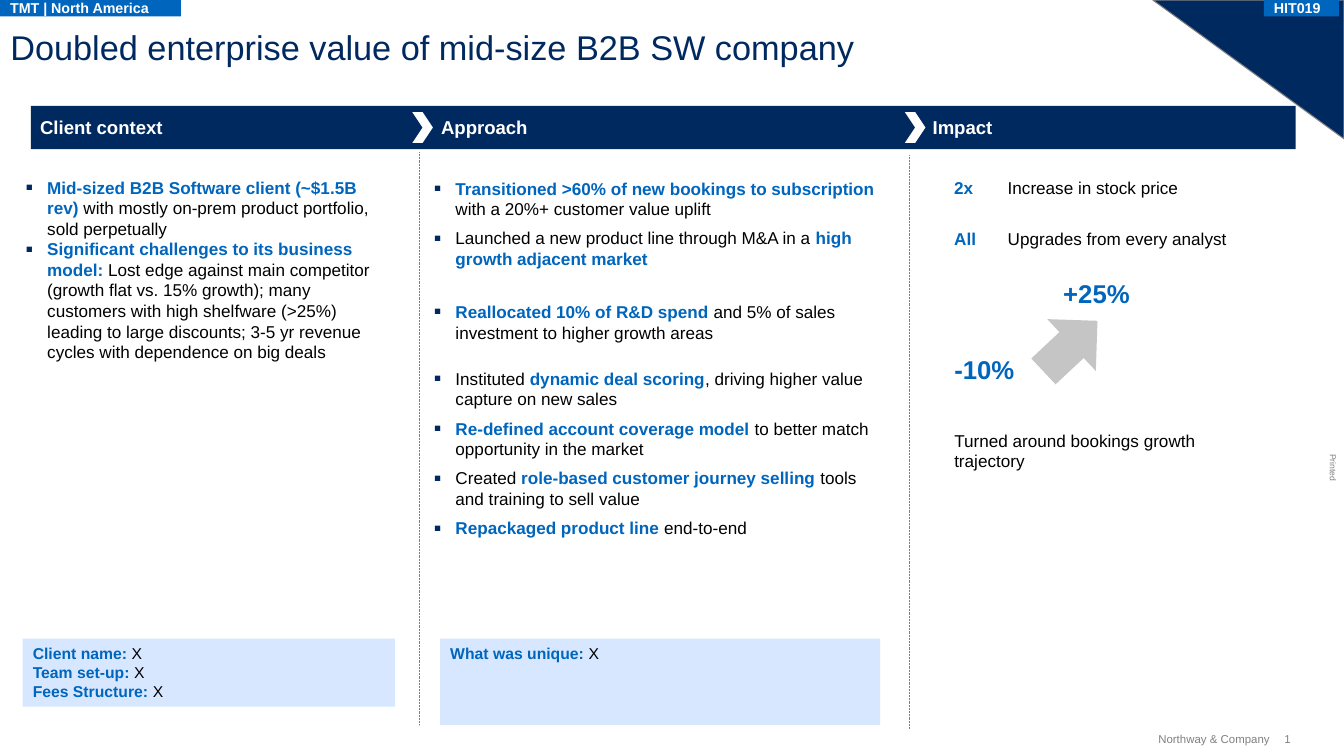
from lxml import etree
from pptx import Presentation
from pptx import util as u
from pptx.dml.color import RGBColor
from pptx.enum import dml, shapes, text
from pptx.oxml.ns import qn

COLORS = {"navy": "002960", "blue": "0065BD", "pale": "D6E7FF", "grey": "808080",
          "arrow": "C5C5C5", "white": "FFFFFF", "black": "000000"}
FONT = "Arial"
SHAPE = shapes.MSO_SHAPE
ANCHOR = text.MSO_ANCHOR
BULLET_INDENT = 0.21
HEADER_LEFT = 0.3

CONTEXT = [
    "*Mid-sized B2B Software client (~$1.5B rev) *with mostly on-prem product portfolio, "
    "sold perpetually",
    "*Significant challenges to its business model: *Lost edge against main competitor "
    "(growth flat vs. 15% growth); many customers with high shelfware (>25%) leading to "
    "large discounts; 3-5 yr revenue cycles with dependence on big deals",
]
# Offset from the top of the column, height, bullets
APPROACH = [
    (0, 0.91, [
        "*Transitioned >60% of new bookings to subscription *with a 20%+ customer value uplift",
        "Launched a new product line through M&A in a *high growth adjacent market*"]),
    (1.2, 0.4, [
        "*Reallocated 10% of R&D spend *and 5% of sales investment to higher growth areas"]),
    (1.85, 1.72, [
        "Instituted *dynamic deal scoring*, driving higher value capture on new sales",
        "*Re-defined account coverage model *to better match opportunity in the market",
        "Created *role-based customer journey selling *tools and training to sell value",
        "*Repackaged product line *end-to-end"]),
]
HEADINGS = [("Client context", 0.09), ("Approach", 3.99), ("Impact", 8.77)]
CHEVRONS = [3.71, 8.5]
RESULTS = [("2x", "Increase in stock price"), ("All", "Upgrades from every analyst")]


def rgb(name):
    return RGBColor.from_string(COLORS[name])


def inches(*lengths):
    return [u.Inches(length) for length in lengths]


def set_font(font, size, color, bold=False):
    font.name, font.size, font.bold = FONT, u.Pt(size), bold
    font.color.rgb = rgb(color)


def set_frame(frame, insets=(0, 0, 0, 0), anchor=ANCHOR.TOP):
    frame.word_wrap = True
    frame.auto_size = text.MSO_AUTO_SIZE.NONE
    frame.vertical_anchor = anchor
    (frame.margin_left, frame.margin_top,
     frame.margin_right, frame.margin_bottom) = inches(*insets)


def add_bullet(paragraph):
    props = paragraph._p.get_or_add_pPr()
    props.set("marL", str(u.Inches(BULLET_INDENT)))
    props.set("indent", str(-u.Inches(BULLET_INDENT)))
    color = etree.SubElement(props, qn("a:buClr"))
    etree.SubElement(color, qn("a:srgbClr"), val=COLORS["navy"])
    etree.SubElement(props, qn("a:buSzPct"), val="125000")
    etree.SubElement(props, qn("a:buFont"), typeface=FONT)
    etree.SubElement(props, qn("a:buChar"), char="▪")


def write_marked(frame, lines, size, bullets=False, gap=0):
    """Fill the frame; words between asterisks become bold blue."""
    for index, line in enumerate(lines):
        paragraph = frame.paragraphs[0] if index == 0 else frame.add_paragraph()
        paragraph.alignment = text.PP_ALIGN.LEFT
        if index and gap:
            paragraph.space_before = u.Pt(gap)
        if bullets:
            add_bullet(paragraph)
        for part, words in enumerate(line.split("*")):
            if words:
                run = paragraph.add_run()
                run.text = words
                marked = part % 2 == 1
                set_font(run.font, size, "blue" if marked else "black", marked)


def add_box(slide, left, top, width, height):
    return slide.shapes.add_textbox(*inches(left, top, width, height))


def add_label(slide, box, words, size, color, bold=False, anchor=ANCHOR.TOP,
              align=text.PP_ALIGN.LEFT):
    label = add_box(slide, *box)
    set_frame(label.text_frame, anchor=anchor)
    paragraph = label.text_frame.paragraphs[0]
    paragraph.text = words
    paragraph.alignment = align
    set_font(paragraph.runs[0].font, size, color, bold)
    return label


def add_filled(slide, kind, box, color):
    shape = slide.shapes.add_shape(kind, *inches(*box))
    shape.shadow.inherit = False
    shape.fill.solid()
    shape.fill.fore_color.rgb = rgb(color)
    shape.line.fill.background()
    return shape


def add_bullets(slide, box, lines, gap=0):
    bullets = add_box(slide, *box)
    set_frame(bullets.text_frame)
    write_marked(bullets.text_frame, lines, 12, bullets=True, gap=gap)


def add_title(slide, left, top, width, height, words):
    title = slide.shapes.title
    title.left, title.top, title.width, title.height = inches(left, top, width, height)
    title.text_frame.text = words
    set_frame(title.text_frame)
    title.text_frame.paragraphs[0].alignment = text.PP_ALIGN.LEFT
    set_font(title.text_frame.paragraphs[0].runs[0].font, 24, "navy")


def add_corner(slide, left, top, width, height):
    corner = add_filled(slide, SHAPE.RIGHT_TRIANGLE, (left, top, width, height), "navy")
    corner.rotation = 180
    corner.line.color.rgb = rgb("grey")
    corner.line.width = u.Pt(0.75)


def add_tag(slide, left, top, width, height, words):
    tag = add_filled(slide, SHAPE.RECTANGLE, (left, top, width, height), "blue")
    set_frame(tag.text_frame, (0.1, 0, 0.1, 0), ANCHOR.MIDDLE)
    paragraph = tag.text_frame.paragraphs[0]
    paragraph.text = words
    paragraph.alignment = text.PP_ALIGN.LEFT
    set_font(paragraph.runs[0].font, 10, "white", True)


def add_header(slide, left, top, width, height):
    add_filled(slide, SHAPE.RECTANGLE, (left, top, width, height), "navy")
    for words, offset in HEADINGS:
        add_label(slide, (left + offset, top, 3, height), words, 13, "white", True,
                  ANCHOR.MIDDLE)
    for offset in CHEVRONS:
        add_filled(slide, SHAPE.CHEVRON, (left + offset, top + 0.06, 0.2, 0.3), "white")


def add_divider(slide, left, top, height):
    divider = slide.shapes.add_connector(shapes.MSO_CONNECTOR.STRAIGHT,
                                         *inches(left, top, left, top + height))
    divider.line.color.rgb = rgb("grey")
    divider.line.width = u.Pt(0.5)
    divider.line.dash_style = dml.MSO_LINE.ROUND_DOT
    etree.SubElement(divider._element.spPr, qn("a:effectLst"))


def add_approach(slide, left, top, width):
    for offset, height, lines in APPROACH:
        add_bullets(slide, (left, top + offset, width, height), lines, gap=6)


def add_impact(slide, left, top, width):
    for row, (figure, result) in enumerate(RESULTS):
        y = top + 0.5 * row
        add_label(slide, (left, y, 0.5, 0.2), figure, 12, "blue", True)
        add_label(slide, (left + 0.52, y, 2.45, 0.2), result, 12, "black")
    # Growth swing
    add_label(slide, (left, top + 1.72, 0.75, 0.3), "-10%", 18, "blue", True)
    add_label(slide, (left + 1.06, top + 0.98, 1.5, 0.3), "+25%", 18, "blue", True)
    swing = add_filled(slide, SHAPE.RIGHT_ARROW,
                       (left + 0.77, top + 1.3, 0.72, 0.69), "arrow")
    swing.rotation = 316.9
    add_label(slide, (left, top + 2.46, width, 0.4),
              "Turned around bookings growth trajectory", 12, "black")


def add_note(slide, left, top, width, height, lines):
    note = add_filled(slide, SHAPE.RECTANGLE, (left, top, width, height), "pale")
    set_frame(note.text_frame, (0.1, 0.05, 0.1, 0.05))
    write_marked(note.text_frame, lines, 11)


def add_footer(slide, left, top, width, height):
    add_label(slide, (left, top, 1.11, height), "Northway & Company", 8, "grey",
              anchor=ANCHOR.MIDDLE, align=text.PP_ALIGN.RIGHT)
    add_label(slide, (left + width - 0.14, top, 0.14, height), "1", 8, "grey",
              anchor=ANCHOR.MIDDLE)


def main():
    deck = Presentation()
    deck.slide_width, deck.slide_height = inches(13.07, 7.35)
    slide = deck.slides.add_slide(deck.slide_layouts[5])

    # Frame of the slide
    add_corner(slide, 11.21, 0, 1.86, 1.35)
    add_title(slide, 0.1, 0.25, 8.9, 0.4,
              "Doubled enterprise value of mid-size B2B SW company")
    add_tag(slide, 0, 0, 1.76, 0.16, "TMT | North America")
    add_tag(slide, 12.29, 0, 0.73, 0.16, "HIT019")
    add_label(slide, (12.83, 4.5, 0.27, 0.1), "Printed", 6, "grey").rotation = 90
    add_footer(slide, 11.24, 7.12, 1.39, 0.13)

    # Three columns
    add_header(slide, HEADER_LEFT, 1.03, 12.3, 0.42)
    add_divider(slide, 4.08, 1.48, 5.57)
    add_divider(slide, 8.84, 1.51, 5.58)
    add_bullets(slide, (0.25, 1.72, 3.36, 1.82), CONTEXT)
    add_approach(slide, 4.22, 1.73, 4.37)
    add_impact(slide, 9.28, 1.72, 2.51)

    # Notes below the columns
    add_note(slide, 0.22, 6.21, 3.62, 0.66,
             ["*Client name: *X", "*Team set-up: *X", "*Fees Structure: *X"])
    add_note(slide, 4.28, 6.21, 4.28, 0.84, ["*What was unique: *X"])
    deck.save("out.pptx")


if __name__ == "__main__":
    main()
